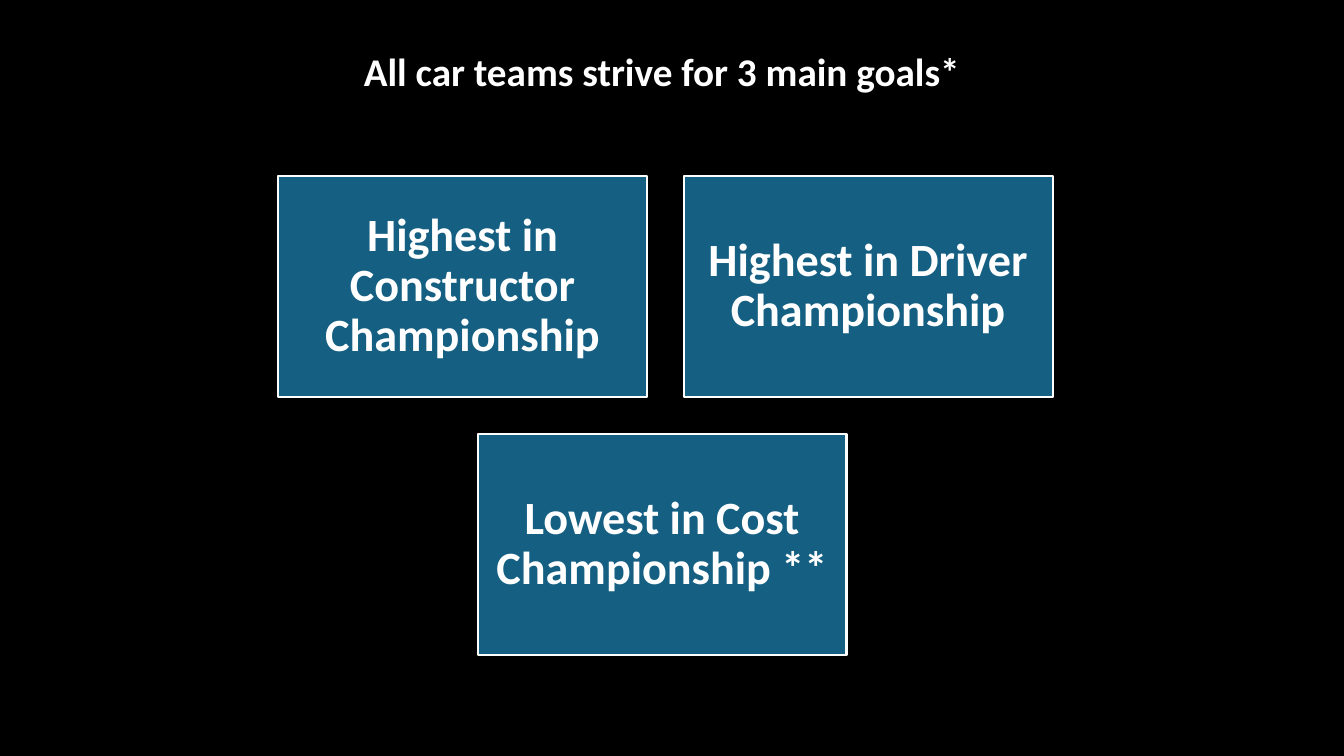
from pptx import Presentation
from pptx.dml.color import RGBColor
from pptx.enum.shapes import MSO_SHAPE as Shape
from pptx.enum.text import MSO_ANCHOR as Anchor, MSO_AUTO_SIZE as AutoSize, PP_ALIGN as Align
from pptx.util import Pt

COLORS = {"background": "000000", "card": "156082", "light": "FFFFFF"}
FONT = "Calibri"

# Card grid: two cards on the first row, one below
CARD_WIDTH, CARD_HEIGHT, GAP = 263.5, 157.8, 26.2
GRID_LEFT, GRID_TOP = 198.7, 126
LAST_CARD_LEFT = 341.2


def color(name):
    return RGBColor.from_string(COLORS[name])


def write_text(frame, text, size, line_spacing, inset, anchor):
    """Fill a text frame with one bold, centred, light paragraph."""
    frame.text = text
    frame.word_wrap = True
    frame.auto_size = AutoSize.NONE
    frame.vertical_anchor = anchor
    frame.margin_left = frame.margin_right = Pt(inset)
    frame.margin_top = frame.margin_bottom = Pt(inset)
    para = frame.paragraphs[0]
    para.alignment = Align.CENTER
    para.line_spacing = line_spacing
    para.space_before = Pt(0)
    font = para.runs[0].font
    font.name, font.size, font.bold = FONT, Pt(size), True
    font.color.rgb = color("light")


def set_title(page, text):
    title = page.shapes.title
    title.left, title.top = Pt(166.3), Pt(31.3)
    title.width, title.height = Pt(612.7), Pt(33.1)
    write_text(title.text_frame, text, 28, Pt(35.9), 0, Anchor.TOP)


def add_card(page, text, left, top):
    card = page.shapes.add_shape(
        Shape.RECTANGLE, Pt(left), Pt(top), Pt(CARD_WIDTH), Pt(CARD_HEIGHT))
    card.shadow.inherit = False
    card.fill.solid()
    card.fill.fore_color.rgb = color("card")
    card.line.color.rgb = color("light")
    card.line.width = Pt(1.5)
    write_text(card.text_frame, text, 33, 0.9, 10, Anchor.MIDDLE)


def main():
    deck = Presentation()
    deck.slide_width, deck.slide_height = Pt(960), Pt(540)
    page = deck.slides.add_slide(deck.slide_layouts[5])
    page.background.fill.solid()
    page.background.fill.fore_color.rgb = color("background")

    # Heading
    set_title(page, "All car teams strive for 3 main goals*")

    # Goals
    second_left = GRID_LEFT + CARD_WIDTH + GAP
    second_top = GRID_TOP + CARD_HEIGHT + GAP
    add_card(page, "Highest in Constructor Championship", GRID_LEFT, GRID_TOP)
    add_card(page, "Highest in Driver Championship", second_left, GRID_TOP)
    add_card(page, "Lowest in Cost Championship **", LAST_CARD_LEFT, second_top)

    deck.save("out.pptx")


if __name__ == "__main__":
    main()
